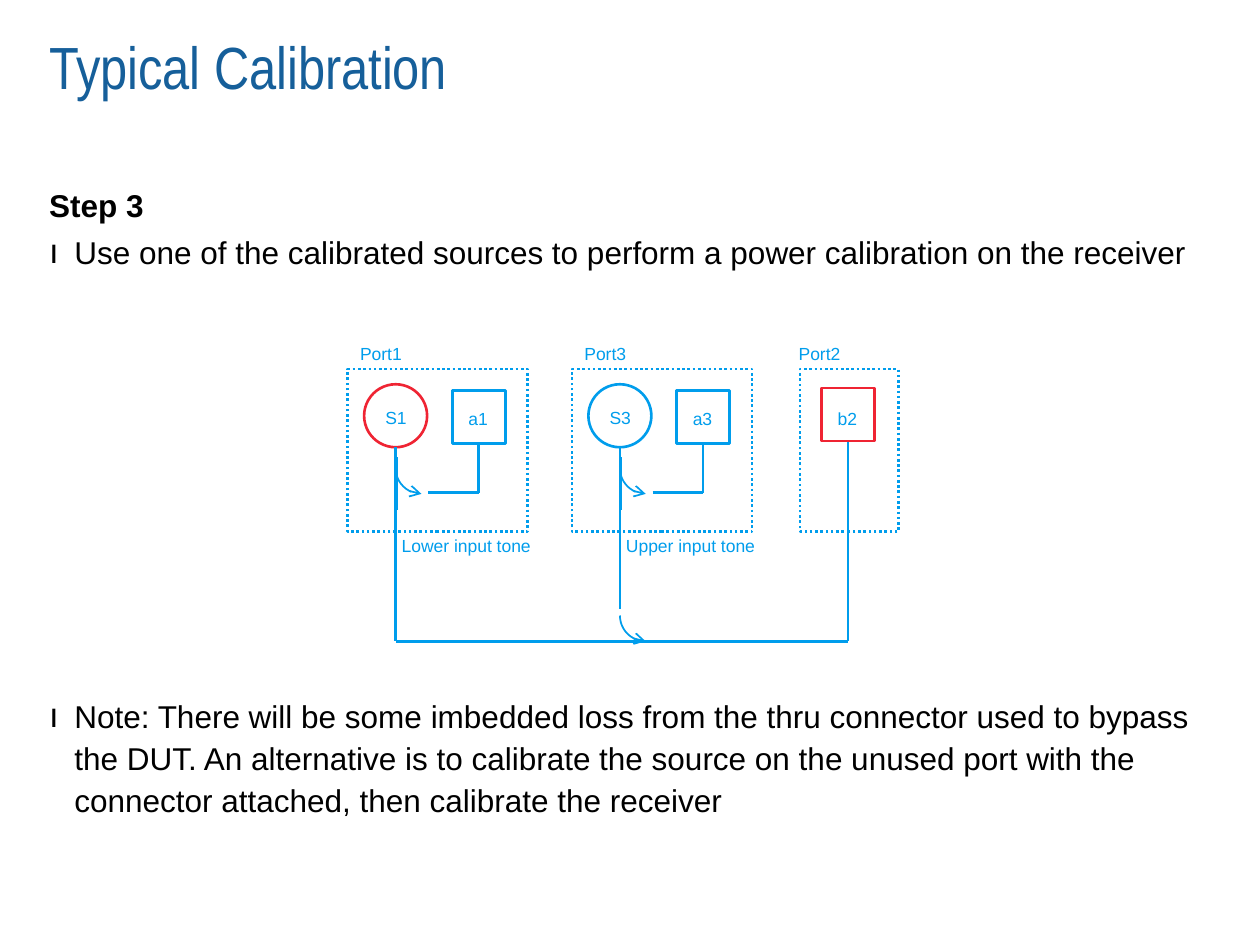
from dataclasses import dataclass

from lxml.etree import SubElement
from pptx import Presentation
from pptx.dml.color import RGBColor
from pptx.enum.dml import MSO_LINE
from pptx.enum.shapes import MSO_CONNECTOR, MSO_SHAPE
from pptx.enum.text import MSO_ANCHOR, MSO_AUTO_SIZE, PP_ALIGN
from pptx.oxml.ns import qn
from pptx.util import Inches, Pt

COLORS = {"title": "165F9A", "text": "000000", "blue": "009DEC", "red": "EF2433"}
BUS_Y = 5.09
LINE_SPACING = 1.12


@dataclass
class InputPort:
    name: str
    source: str
    receiver: str
    tone: str
    left: float
    stem_bottom: float
    source_color: str = "blue"


PORTS = [
    InputPort("Port1", "S1", "a1", "Lower input tone", 2.76, BUS_Y, "red"),
    InputPort("Port3", "S3", "a3", "Upper input tone", 4.54, 4.83),
]


def rgb(name: str) -> RGBColor:
    return RGBColor.from_string(COLORS[name])


def style_runs(p, font: str, size: float, color: str, bold: bool = False) -> None:
    for r in p.runs:
        r.font.name, r.font.size, r.font.bold = font, Pt(size), bold
        r.font.color.rgb = rgb(color)


def place_text(sp, x: float, y: float, w: float, h: float, text: str,
               anchor=MSO_ANCHOR.TOP):
    """Move a placeholder, clear its insets and fill in its text."""
    sp.left, sp.top, sp.width, sp.height = map(Inches, (x, y, w, h))
    tf = sp.text_frame
    tf.text = text
    tf.word_wrap, tf.auto_size, tf.vertical_anchor = True, MSO_AUTO_SIZE.NONE, anchor
    tf.margin_left = tf.margin_right = tf.margin_top = tf.margin_bottom = 0
    for p in tf.paragraphs:
        p.alignment = PP_ALIGN.LEFT
        p.space_before = p.space_after = Pt(0)
    return tf


def set_bullet(p, char: str = "") -> None:
    """Give a paragraph a hanging bullet, or none when char is empty."""
    pPr = p._p.get_or_add_pPr()
    indent = Inches(0.2) if char else 0
    pPr.set("marL", str(indent))
    pPr.set("indent", str(-indent))
    if char:
        SubElement(pPr, qn("a:buSzPct"), val="110000")
        SubElement(pPr, qn("a:buFont"), typeface="Arial")
        SubElement(pPr, qn("a:buChar"), char=char)
    else:
        SubElement(pPr, qn("a:buNone"))


def add_label(s, text: str, x: float, y: float, w: float) -> None:
    tf = s.shapes.add_textbox(Inches(x), Inches(y), Inches(w), Inches(0.28)).text_frame
    tf.word_wrap = True
    tf.text = text
    p = tf.paragraphs[0]
    p.line_spacing, p.space_after = LINE_SPACING, Pt(6)
    style_runs(p, "Arial", 10, "blue")


def add_outline(s, kind, x: float, y: float, w: float, h: float,
                color: str = "blue", width: float = 1.5, dash=None):
    sp = s.shapes.add_shape(kind, Inches(x), Inches(y), Inches(w), Inches(h))
    sp.shadow.inherit = False
    sp.fill.background()
    sp.line.color.rgb = rgb(color)
    sp.line.width = Pt(width)
    if dash:
        sp.line.dash_style = dash
    return sp


def add_line(s, x1: float, y1: float, x2: float, y2: float, width: float = 1.5) -> None:
    line = s.shapes.add_connector(MSO_CONNECTOR.STRAIGHT, *map(Inches, (x1, y1, x2, y2)))
    line.line.color.rgb = rgb("blue")
    line.line.width = Pt(width)
    SubElement(line._element.spPr, qn("a:effectLst"))


def add_coupling_arrow(s, x: float, y: float) -> None:
    """Draw a lower-left quarter arc with its arrowhead at the bottom."""
    arc = add_outline(s, MSO_SHAPE.ARC, x, y, 0.41, 0.41, width=1)
    # Angles are in 1/60000 degree, adjustments in units of 100000.
    for i, degrees in enumerate((90, 180)):
        arc.adjustments[i] = degrees * 0.6
    SubElement(arc.line._get_or_add_ln(), qn("a:headEnd"), type="arrow")


def add_port_frame(s, x: float, w: float) -> None:
    add_outline(s, MSO_SHAPE.RECTANGLE, x, 2.93, w, 1.29, dash=MSO_LINE.ROUND_DOT)


def add_input_port(s, port: InputPort) -> None:
    x = port.left
    stem, tap = x + 0.38, x + 1.04
    add_port_frame(s, x, 1.43)
    add_label(s, port.name, x, 2.65, 0.63)
    add_outline(s, MSO_SHAPE.OVAL, x + 0.13, 3.05, 0.5, 0.5, port.source_color)
    add_label(s, port.source, x + 0.2, 3.16, 0.4)
    add_outline(s, MSO_SHAPE.RECTANGLE, x + 0.83, 3.1, 0.42, 0.42)
    add_label(s, port.receiver, x + 0.86, 3.17, 0.4)
    add_line(s, stem, 3.55, stem, port.stem_bottom)
    add_line(s, stem + 0.01, 3.63, stem + 0.01, 4.05, 1)
    add_coupling_arrow(s, stem, 3.51)
    add_line(s, x + 0.64, 3.91, tap, 3.91)
    add_line(s, tap, 3.53, tap, 3.91)
    add_label(s, port.tone, x + 0.33, 4.18, 1.34)


def add_output_port(s) -> None:
    add_port_frame(s, 6.35, 0.78)
    add_label(s, "Port2", 6.24, 2.65, 0.61)
    add_outline(s, MSO_SHAPE.RECTANGLE, 6.52, 3.08, 0.42, 0.42, "red")
    add_label(s, "b2", 6.55, 3.17, 0.4)
    add_line(s, 6.73, 3.51, 6.73, BUS_Y)


def add_copy(s) -> None:
    title, heading, body = (s.placeholders[i] for i in (0, 1, 2))
    tf = place_text(title, 0.39, 0.24, 9.06, 1.18, "Typical Calibration")
    style_runs(tf.paragraphs[0], "Arial Narrow", 34, "title")

    tf = place_text(heading, 0.39, 1.5, 9.06, 0.28, "Step 3", MSO_ANCHOR.BOTTOM)
    set_bullet(tf.paragraphs[0])
    style_runs(tf.paragraphs[0], "Arial", 18, "text", bold=True)

    tf = place_text(
        body, 0.39, 1.81, 9.06, 4.8,
        "Use one of the calibrated sources to perform a power calibration on the receiver\n"
        "Note: There will be some imbedded loss from the thru connector used to bypass "
        "the DUT. An alternative is to calibrate the source on the unused port with the "
        "connector attached, then calibrate the receiver")
    for p in tf.paragraphs:
        p.line_spacing = LINE_SPACING
        set_bullet(p, "ı")
        style_runs(p, "Arial", 18, "text")
    tf.paragraphs[1].space_before = Pt(241)  # leaves room for the diagram


def main() -> None:
    prs = Presentation()
    prs.slide_width, prs.slide_height = Inches(10), Inches(7.5)
    s = prs.slides.add_slide(prs.slide_layouts.get_by_name("Comparison"))
    for sp in list(s.placeholders):
        if sp.placeholder_format.idx > 2:
            sp._element.getparent().remove(sp._element)
    add_copy(s)
    add_output_port(s)
    for port in PORTS:
        add_input_port(s, port)
    add_line(s, 3.14, BUS_Y, 6.73, BUS_Y)
    add_coupling_arrow(s, 4.92, BUS_Y - 0.41)
    prs.save("out.pptx")


if __name__ == "__main__":
    main()
